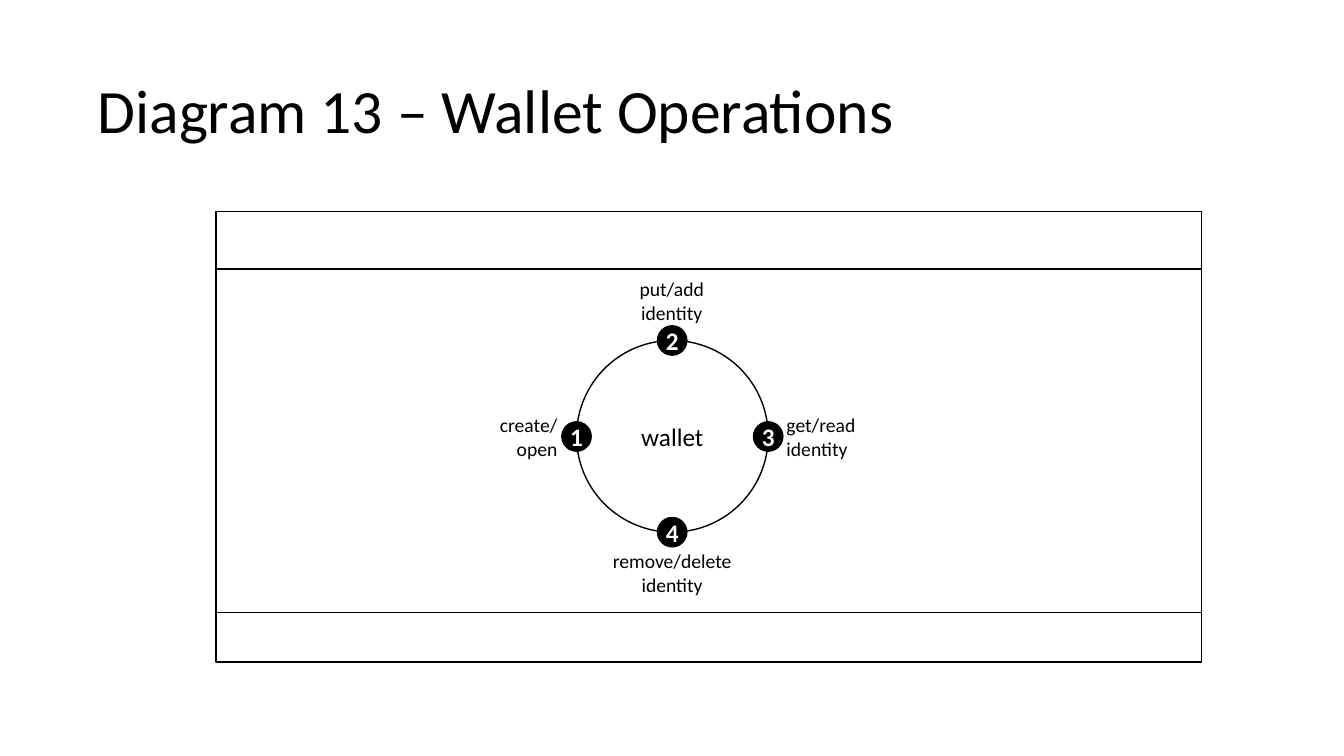
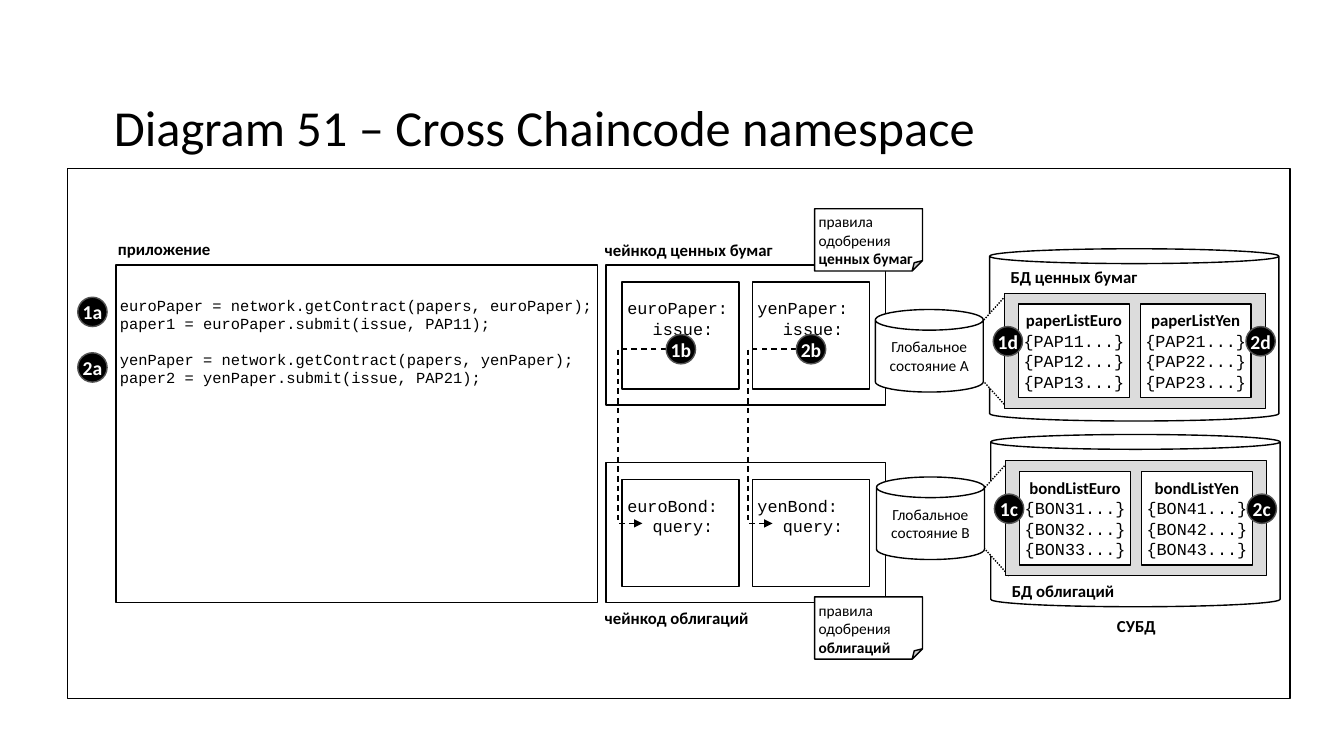
from collections import namedtuple
from dataclasses import dataclass

from lxml import etree
from pptx import Presentation
from pptx.dml.color import RGBColor
from pptx.enum import dml, shapes, text
from pptx.oxml.ns import qn
from pptx.util import Cm, Pt

Box = namedtuple("Box", "x y w h")
SHAPE = shapes.MSO_SHAPE
ALIGN = text.PP_ALIGN
ANCHOR = text.MSO_ANCHOR


@dataclass(frozen=True)
class Theme:
    ink: RGBColor = RGBColor(0, 0, 0)
    paper: RGBColor = RGBColor(0xFF, 0xFF, 0xFF)
    panel: RGBColor = RGBColor(0xDC, 0xDC, 0xDC)
    badge_edge: RGBColor = RGBColor(0x53, 0x53, 0x53)
    body: str = "Calibri"
    mono: str = "Courier New"
    stroke: float = 1
    title: float = 44
    long_title: float = 36
    hub: float = 18
    step: float = 14
    label: float = 12
    small: float = 11
    code_leading: float = 13
    mono_leading: float = 14.7
    inset: float = 0.13
    badge: float = 0.74


T = Theme()


def inside(box, dx, dy, w, h):
    return Box(box.x + dx, box.y + dy, w, h)


def cm(box):
    return [Cm(round(length, 2)) for length in box]


def add_run(paragraph, words, size, bold=False, font=T.body, color=T.ink):
    run = paragraph.add_run()
    run.text = words
    run.font.name, run.font.size, run.font.bold = font, Pt(size), bold
    run.font.color.rgb = color


def next_paragraph(frame, align=ALIGN.LEFT, leading=None):
    """Return the empty first paragraph, or a new one after it."""
    first = frame.paragraphs[0]
    paragraph = frame.add_paragraph() if first.runs else first
    paragraph.alignment = align
    if leading:
        paragraph.line_spacing = Pt(leading)
    return paragraph


def set_frame(shape, anchor=ANCHOR.MIDDLE, wrap=True, side=T.inset,
              top=T.inset, bottom=T.inset, right=None):
    frame = shape.text_frame
    frame.word_wrap, frame.vertical_anchor = wrap, anchor
    frame.margin_left = Cm(side)
    frame.margin_right = Cm(side if right is None else right)
    frame.margin_top, frame.margin_bottom = Cm(top), Cm(bottom)
    return frame


def outline(line, color=T.ink, dash=None):
    line.color.rgb = color
    line.width = Pt(T.stroke)
    if dash:
        line.dash_style = dash


def add_outlined(slide, kind, box, fill=T.paper, edge=T.ink, dash=None):
    shape = slide.shapes.add_shape(kind, *cm(box))
    shape.shadow.inherit = False
    if fill is None:
        shape.fill.background()
    else:
        shape.fill.solid()
        shape.fill.fore_color.rgb = fill
    outline(shape.line, edge, dash)
    return shape


def add_line(slide, kind, start, end, dash=None):
    line = slide.shapes.add_connector(kind, *cm(start + end))
    outline(line.line, dash=dash)
    etree.SubElement(line._element.spPr, qn("a:effectLst"))
    return line


def add_title(slide, box, words, size):
    frame = set_frame(slide.shapes.add_textbox(*cm(box)))
    paragraph = next_paragraph(frame)
    paragraph.line_spacing = 0.9
    add_run(paragraph, words, size)


def add_label(slide, box, lines, size=T.label, bold=True, align=ALIGN.LEFT):
    frame = set_frame(slide.shapes.add_textbox(*cm(box)), ANCHOR.TOP, wrap=False)
    for words in lines:
        add_run(next_paragraph(frame, align), words, size, bold)


def add_badge(slide, center, mark, size=T.step, edge=T.badge_edge):
    x, y = center
    box = Box(x - T.badge / 2, y - T.badge / 2, T.badge, T.badge)
    frame = set_frame(add_outlined(slide, SHAPE.OVAL, box, T.ink, edge),
                      wrap=False, side=0)
    add_run(next_paragraph(frame, ALIGN.CENTER), mark, size, True, color=T.paper)


def wallet_ring(slide, box):
    """Draw the wallet circle with its four numbered operations."""
    ring = add_outlined(slide, SHAPE.OVAL, box)
    add_run(next_paragraph(set_frame(ring), ALIGN.CENTER), "wallet", T.hub)
    operations = [
        ((0, 0.5), (-2.08, 1.7, 1.73), ["create/", "open"], ALIGN.RIGHT),
        ((0.5, 0), (1.45, -1.73, 1.9), ["put/add", "identity"], ALIGN.CENTER),
        ((1, 0.5), (5.16, 1.7, 2.0), ["get/read", "identity"], ALIGN.LEFT),
        ((0.5, 1), (0.76, 5.13, 3.3), ["remove/delete", "identity"], ALIGN.CENTER),
    ]
    for number, (point, (dx, dy, width), lines, align) in enumerate(operations, 1):
        add_label(slide, inside(box, dx, dy, width, 1.45), lines, T.step, False, align)
        center = box.x + point[0] * box.w, box.y + point[1] * box.h
        add_badge(slide, center, str(number), T.hub, T.ink)


def wallet_slide(slide):
    add_title(slide, Box(2.33, 1.02, 29.21, 3.68),
              "Diagram 13 – Wallet Operations", T.title)
    frame = Box(5.44, 5.33, 24.84, 11.35)
    add_outlined(slide, SHAPE.RECTANGLE, frame, None)
    for dy in (1.45, 10.11):
        y = frame.y + dy
        add_line(slide, shapes.MSO_CONNECTOR.STRAIGHT,
                 (frame.x, y), (frame.x + frame.w, y))
    wallet_ring(slide, inside(frame, 9.09, 3.25, 4.83, 4.83))


def application(slide, box):
    add_label(slide, inside(box, -0.08, -0.79, 2.62, 0.76), ["приложение"])
    frame = set_frame(add_outlined(slide, SHAPE.RECTANGLE, box), ANCHOR.TOP,
                      side=0.1, right=0, top=0.78)
    calls = [
        ("1a", 1.18, ["euroPaper = network.getContract(papers, euroPaper);",
                      "paper1 = euroPaper.submit(issue, PAP11);"]),
        ("2a", 2.58, ["yenPaper = network.getContract(papers, yenPaper);",
                      "paper2 = yenPaper.submit(issue, PAP21);"]),
    ]
    for index, (mark, dy, lines) in enumerate(calls):
        for row, code in enumerate(lines):
            paragraph = next_paragraph(frame, leading=T.code_leading)
            if index and not row:
                paragraph.space_before = Pt(T.code_leading)
            add_run(paragraph, code, T.small, font=T.mono)
        add_badge(slide, (box.x - 0.59, box.y + dy), mark)


def contract_card(slide, box, contract, method):
    frame = set_frame(add_outlined(slide, SHAPE.RECTANGLE, box), ANCHOR.TOP, top=0.38)
    add_run(next_paragraph(frame, leading=T.mono_leading), contract, T.label, font=T.mono)
    paragraph = next_paragraph(frame, leading=T.mono_leading)
    paragraph._p.get_or_add_pPr().set("marL", str(Cm(0.64)))
    add_run(paragraph, method, T.label, font=T.mono)


def policy_note(slide, box, subject, top, bottom):
    note = add_outlined(slide, SHAPE.FOLDED_CORNER, box)
    frame = set_frame(note, side=0.1, top=top, bottom=bottom)
    paragraph = next_paragraph(frame)
    add_run(paragraph, "правила одобрения ", T.small)
    add_run(paragraph, subject, T.small, True)


def chaincode(slide, box, subject, contracts, method, label, note):
    """Draw a chaincode with its contracts; return the contract boxes."""
    add_outlined(slide, SHAPE.RECTANGLE, box)
    cards = [inside(box, 0.41 + 3.28 * i, 0.43, 2.95, 2.69)
             for i in range(len(contracts))]
    for card, contract in zip(cards, contracts):
        contract_card(slide, card, contract, method)
    label_dy, label_width = label
    add_label(slide, inside(box, -0.16, label_dy, label_width, 0.76),
              ["чейнкод " + subject])
    note_dy, top, bottom = note
    policy_note(slide, inside(box, 5.26, note_dy, 2.72, 1.57), subject, top, bottom)
    return cards


def cross_call(slide, caller, callee, mark):
    """Lead a dashed arrow from a badge in one contract to another contract."""
    center = caller.x + caller.w / 2, caller.y + 1.69
    start = center[0] - T.badge / 2, center[1]
    end = callee.x + 0.51, callee.y + 1.1
    bend_x = caller.x - 0.1
    arrow = add_line(slide, shapes.MSO_CONNECTOR.ELBOW, start, end,
                     dml.MSO_LINE.DASH)
    share = (start[0] - bend_x) / (start[0] - end[0])
    guides = arrow._element.spPr.find(qn("a:prstGeom")).get_or_add_avLst()
    etree.SubElement(guides, qn("a:gd"), name="adj1",
                     fmla=f"val {round(share * 100000)}")
    etree.SubElement(arrow.line._get_or_add_ln(), qn("a:tailEnd"), type="triangle")
    add_badge(slide, center, mark)


def record_list(slide, box, heading, records):
    frame = set_frame(add_outlined(slide, SHAPE.RECTANGLE, box), side=0)
    add_run(next_paragraph(frame, ALIGN.CENTER), heading, T.label, True)
    for record in records:
        paragraph = next_paragraph(frame, ALIGN.CENTER, T.mono_leading)
        add_run(paragraph, record, T.label, font=T.mono)


def world_state(slide, panel, letter):
    """Draw the state store left of a panel, with the dotted zoom between."""
    middle = panel.y + panel.h / 2
    zoom_depth = 1.14
    zoom_box = Box(panel.x - 0.48 - panel.h / 2, middle - zoom_depth / 2,
                   panel.h, zoom_depth)
    zoom = add_outlined(slide, SHAPE.TRAPEZOID, zoom_box,
                        dash=dml.MSO_LINE.ROUND_DOT)
    zoom.rotation = 270
    zoom.adjustments[0] = 1.11
    store = add_outlined(slide, SHAPE.CAN,
                         Box(panel.x - 3.25, middle - 1.04, 2.72, 2.08))
    add_run(next_paragraph(set_frame(store), ALIGN.CENTER),
            "Глобальное состояние " + letter, T.small)


def database(slide, box, label, panel_dy, label_dy, letter, lists, marks):
    add_outlined(slide, SHAPE.CAN, box).adjustments[0] = 0.086
    panel = inside(box, 0.37, panel_dy, 6.58, 2.9)
    world_state(slide, panel, letter)
    add_label(slide, inside(box, 0.4, label_dy, *label[1:]), label[:1])
    add_outlined(slide, SHAPE.RECTANGLE, panel, T.panel)
    for i, (heading, records) in enumerate(lists):
        record_list(slide, inside(panel, 0.36 + 3.07 * i, 0.27, 2.79, 2.36),
                    heading, records)
    for dx, mark in zip((0.09, 6.46), marks):
        add_badge(slide, (panel.x + dx, panel.y + 1.21), mark)


def records(prefix, tens):
    return [f"{{{prefix}{tens}{unit}...}}" for unit in (1, 2, 3)]


def namespace_slide(slide):
    add_title(slide, Box(2.74, 1.45, 29.21, 3.68),
              "Diagram 51 – Cross Chaincode namespace", T.long_title)
    add_outlined(slide, SHAPE.RECTANGLE, Box(1.7, 4.24, 30.81, 13.36), None)
    application(slide, Box(2.92, 6.68, 12.14, 8.51))

    papers = chaincode(slide, Box(15.27, 6.68, 7.04, 3.53), "ценных бумаг",
                       ["euroPaper:", "yenPaper:"], "issue:",
                       (-0.76, 4.55), (-1.42, 0.41, 0.13))
    bonds = chaincode(slide, Box(15.27, 11.66, 7.04, 3.53), "облигаций",
                      ["euroBond:", "yenBond:"], "query:",
                      (3.53, 3.94), (3.38, 0.3, 0))
    for caller, callee, mark in zip(papers, bonds, ("1b", "2b")):
        cross_call(slide, caller, callee, mark)

    database(slide, Box(24.94, 6.27, 7.29, 4.34), ("БД ценных бумаг", 3.48, 0.76),
             1.12, 0.33, "A",
             [("paperListEuro", records("PAP", 1)),
              ("paperListYen", records("PAP", 2))], ("1d", "2d"))
    database(slide, Box(24.97, 10.95, 7.29, 4.34), ("БД облигаций", 2.87, 0.76),
             0.66, 3.55, "B",
             [("bondListEuro", records("BON", 3)),
              ("bondListYen", records("BON", 4))], ("1c", "2c"))
    add_label(slide, Box(28.02, 15.39, 1.24, 0.76), ["СУБД"])


def main():
    deck = Presentation()
    deck.slide_width, deck.slide_height = Cm(33.87), Cm(19.05)
    for build in (wallet_slide, namespace_slide):
        build(deck.slides.add_slide(deck.slide_layouts[6]))
    deck.save("out.pptx")


if __name__ == "__main__":
    main()
